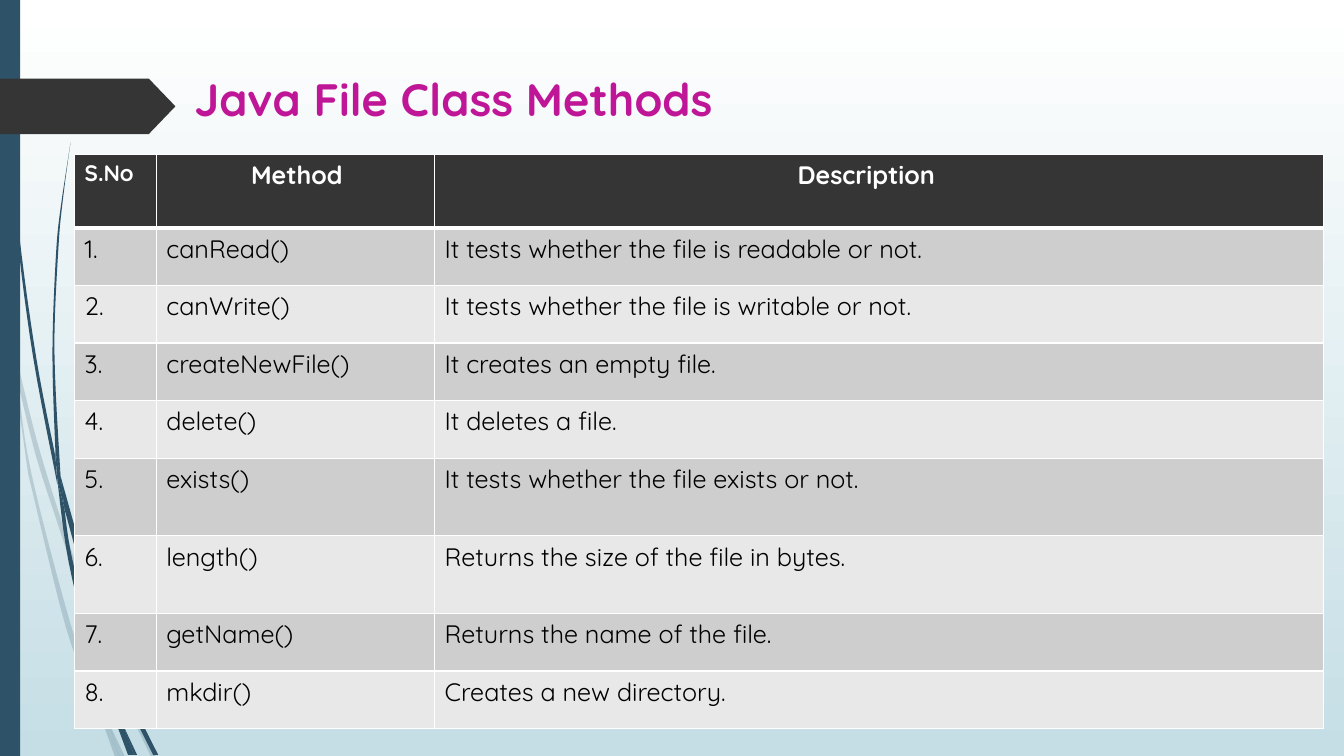
from lxml.etree import SubElement
from pptx import Presentation
from pptx.dml.color import RGBColor
from pptx.enum.shapes import MSO_SHAPE
from pptx.enum.text import MSO_ANCHOR
from pptx.oxml.ns import qn
from pptx.util import Inches, Pt

WIDTH, HEIGHT = 13.33, 7.5
FONT = "Quicksand"
NAVY, CHARCOAL, MAGENTA = "2E5369", "353535", "BF1698"
WHITE, BLACK = "FFFFFF", "000000"
BANDS = ["E8E8E8", "CECECE"]

COLUMNS = [0.81, 2.76, 8.82]
TALL_ROW, HEADER_ROW = 0.77, 0.73
TALL_METHODS = ["exists()", "length()"]
HEADERS = [("S.No", 16, 0), ("Method", 18, 0.84), ("Description", 18, 3.5)]
METHODS = [
    ("canRead()", "It tests whether the file is readable or not."),
    ("canWrite()", "It tests whether the file is writable or not."),
    ("createNewFile()", "It creates an empty file."),
    ("delete()", "It deletes a file."),
    ("exists()", "It tests whether the file exists or not."),
    ("length()", "Returns the size of the file in bytes."),
    ("getName()", "Returns the name of the file."),
    ("mkdir()", "Creates a new directory."),
]

PALE_STEMS = [
    ([(0.14, 3.45), (0.36, 4.35), (0.62, 5.2), (0.85, 5.86)],
     [(0.84, 5.99), (0.58, 5.22), (0.35, 4.5), (0.17, 3.76)]),
    ([(0.88, 5.96), (0.92, 6.07), (1.27, 6.92), (1.55, 7.51)],
     [(1.5, 7.51), (1.23, 6.94), (0.88, 6.1)]),
    ([(1.05, 7.11), (1.24, 7.51)], [(1.19, 7.51)]),
    ([(0.11, 3.5), (0.17, 3.76), (0.31, 4.69), (0.7, 6.19), (0.93, 6.83), (1.01, 7.14)],
     [(0.92, 6.93), (0.65, 6.21), (0.28, 4.7)]),
    ([(1.01, 7.14), (1.19, 7.51)], [(1.14, 7.51)]),
    ([(0.93, 6.83), (1.05, 7.11), (1.19, 7.51)], [(1.01, 7.14)]),
]
DARK_STEMS = [
    ([(0.03, 0), (0.07, 1.1), (0.17, 2.33), (0.33, 3.55), (0.57, 4.81)],
     [(0.55, 4.53), (0.36, 3.55), (0.19, 2.32), (0.08, 1.09), (0.04, 0)]),
    ([(0.6, 4.72), (0.93, 5.9), (1.06, 6.33)],
     [(1.06, 6.45), (0.88, 5.92), (0.64, 5.05)]),
    ([(1.1, 6.41), (1.13, 6.49), (1.36, 7.06), (1.57, 7.49)],
     [(1.52, 7.49), (1.32, 7.08), (1.11, 6.56)]),
    ([(0.57, 4.77), (0.68, 5.57), (0.93, 6.59), (1.11, 7.08), (1.17, 7.22)],
     [(1.1, 6.91), (0.98, 6.57), (0.72, 5.56), (0.64, 5.05)]),
    ([(0.6, 4.72), (0.54, 3.49), (0.58, 2.45), (0.63, 1.93), (0.7, 1.41)],
     [(0.62, 1.93), (0.56, 2.45), (0.52, 3.49), (0.55, 4.49)]),
    ([(1.22, 7.19), (1.36, 7.49)], [(1.33, 7.49)]),
    ([(0.55, 4.49), (0.6, 4.72), (0.64, 5.05)], [(0.57, 4.77), (0.55, 4.53)]),
    ([(1.17, 7.22), (1.31, 7.49)], [(1.27, 7.49)]),
    ([(1.1, 6.91), (1.22, 7.19), (1.33, 7.49)], [(1.3, 7.49), (1.17, 7.22)]),
]


def color(code):
    """Turn a hex string into a colour."""
    return RGBColor.from_string(code)


def apply(target, values):
    """Set attributes of an object from a dict."""
    for name, value in values.items():
        setattr(target, name, value)


def paint(shape, code, opacity=100):
    """Give a shape a plain fill without line or shadow."""
    shape.shadow.inherit = False
    shape.line.fill.background()
    shape.fill.solid()
    shape.fill.fore_color.rgb = color(code)
    if opacity < 100:
        solid_color = shape.fill._xPr.find(qn("a:solidFill"))[0]
        SubElement(solid_color, qn("a:alpha"), val=str(opacity * 1000))


def write(text_frame, text, size, code, bold=False, indent=0):
    """Write one formatted line into a text frame."""
    paragraph = text_frame.paragraphs[0]
    if indent:
        paragraph._p.get_or_add_pPr().set("marL", str(Inches(indent)))
    run = paragraph.add_run()
    run.text = text
    apply(run.font, {"name": FONT, "size": Pt(size), "bold": bold})
    run.font.color.rgb = color(code)


def smooth_edge(points, steps=6):
    """Return points along a soft curve through the given points."""
    padded = [points[0], *points, points[-1]]
    curve = []
    for a, b, c, d in zip(padded, padded[1:], padded[2:], padded[3:]):
        for step in range(steps):
            t = step / steps
            curve.append(tuple(
                q + t / 2 * (r - p + t * (2 * p - 5 * q + 4 * r - s + t * (3 * q - p - 3 * r + s)))
                for p, q, r, s in zip(a, b, c, d)))
    return curve + [points[-1]]


def add_stems(slide, box, stems, opacity):
    """Draw curved plant stems inside the box."""
    left, top = box[:2]
    for right_edge, left_edge in stems:
        outline = [(Inches(left + x), Inches(top + y))
                   for x, y in smooth_edge(right_edge) + smooth_edge(left_edge)]
        builder = slide.shapes.build_freeform(*outline[0])
        builder.add_line_segments(outline[1:], close=True)
        paint(builder.convert_to_shape(), NAVY, opacity)


def add_backdrop(slide, box):
    """Draw the gradient, the stems, the side bar and the title marker."""
    left, top, width, height = box
    fill = slide.background.fill
    fill.gradient()
    fill.gradient_angle = 270
    for stop, code, position in zip(fill.gradient_stops, [WHITE, "C5DEE5"], [0, 1]):
        stop.color.rgb = color(code)
        stop.position = position
    add_stems(slide, box, PALE_STEMS, 20)
    add_stems(slide, box, DARK_STEMS, 100)
    bar = slide.shapes.add_shape(
        MSO_SHAPE.RECTANGLE, *map(Inches, (left, top, 0.015 * width, height)))
    paint(bar, NAVY)
    marker = slide.shapes.add_shape(
        MSO_SHAPE.PENTAGON, *map(Inches, (left, top + 0.78, 1.74, 0.55)))
    marker.adjustments[0] = 0.48
    paint(marker, CHARCOAL)


def add_title(slide, box):
    """Place the slide title in the box."""
    text_frame = slide.shapes.add_textbox(*map(Inches, box)).text_frame
    apply(text_frame, {"word_wrap": True, "vertical_anchor": MSO_ANCHOR.MIDDLE})
    write(text_frame, "Java File Class Methods", 32.4, MAGENTA, True)


def add_borders(cell, top_width, bottom_width):
    """Draw white lines around a cell."""
    properties = cell._tc.get_or_add_tcPr()
    for side, width in zip("LRTB", [1, 1, top_width, bottom_width]):
        line = SubElement(properties, qn(f"a:ln{side}"), w=str(Pt(width)))
        SubElement(SubElement(line, qn("a:solidFill")), qn("a:srgbClr"), val=WHITE)


def add_method_table(slide, box):
    """Place the table of methods in the box."""
    rows = [HEADERS] + [
        [(text, 18, 0) for text in (f"{number}.", *method)]
        for number, method in enumerate(METHODS, 1)]
    tall_count = len(TALL_METHODS)
    plain_row = (box[3] - HEADER_ROW - tall_count * TALL_ROW) / (len(METHODS) - tall_count)
    table = slide.shapes.add_table(len(rows), len(COLUMNS), *map(Inches, box)).table
    for column, width in zip(table.columns, COLUMNS):
        column.width = Inches(width)
    for index, entries in enumerate(rows):
        header = index == 0
        tall = entries[1][0] in TALL_METHODS
        table.rows[index].height = Inches(HEADER_ROW if header else TALL_ROW if tall else plain_row)
        for cell, (text, size, indent) in zip(table.rows[index].cells, entries):
            add_borders(cell, 3 if index == 1 else 1, 3 if header else 1)
            cell.fill.solid()
            cell.fill.fore_color.rgb = color(CHARCOAL if header else BANDS[index % 2])
            write(cell.text_frame, text, size, WHITE if header else BLACK, header, indent)


def main():
    """Build and save the slide."""
    presentation = Presentation()
    apply(presentation, {"slide_width": Inches(WIDTH), "slide_height": Inches(HEIGHT)})
    slide = presentation.slides.add_slide(presentation.slide_layouts[6])
    add_backdrop(slide, (0, 0, WIDTH, HEIGHT))
    add_title(slide, (1.83, 0.64, 10.74, 0.67))
    add_method_table(slide, (0.74, 1.53, 12.38, 5.7))
    presentation.save("out.pptx")


if __name__ == "__main__":
    main()
